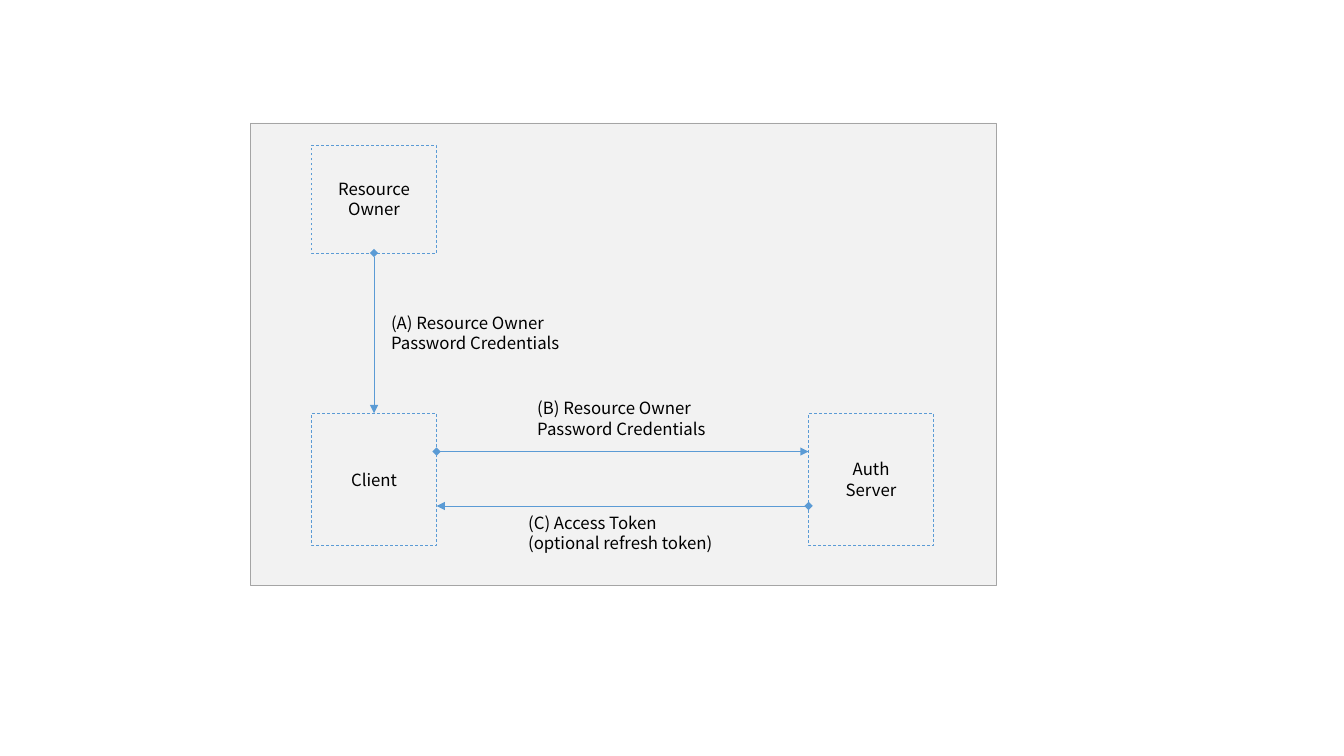
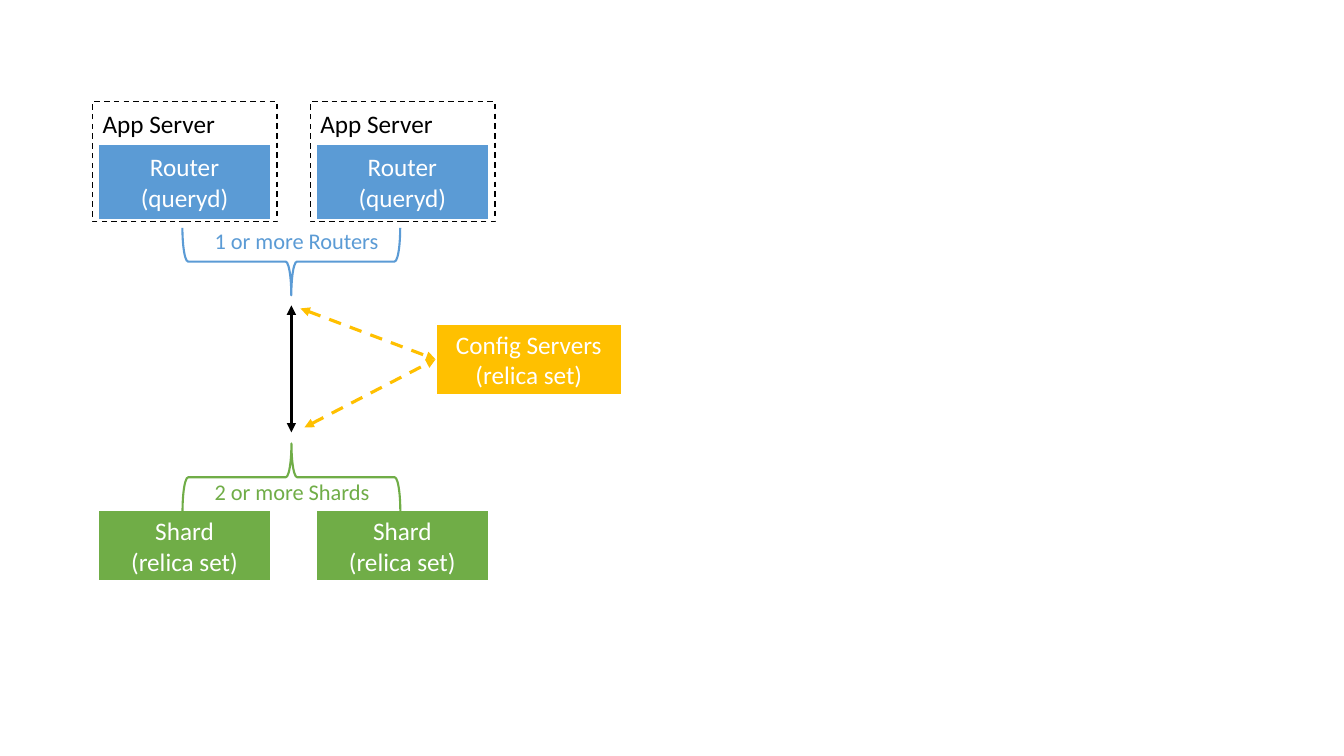
from lxml import etree
from pptx import Presentation
from pptx.dml.color import RGBColor
from pptx.enum import dml, shapes, text
from pptx.oxml import ns
from pptx.util import Inches, Pt

# Shared style
BLUE, GREEN, AMBER = "5B9BD5", "70AD47", "FFC000"
BLACK, WHITE, GREY, PANEL = "000000", "FFFFFF", "A5A5A5", "F2F2F2"
RECT, BRACE = shapes.MSO_SHAPE.RECTANGLE, shapes.MSO_SHAPE.LEFT_BRACE
AUTH_FONT, SHARD_FONT = ("Noto Sans CJK SC", 12), ("Calibri", 18)
NOTE_FONT = ("Calibri", 16)

# Slide 1: password grant flow
PANEL_BOX = (2.48, 1.22, 7.4, 4.59)
BOX_W, LEFT_COL, RIGHT_COL = 1.24, 3.09, 8.02
TOP_ROW, TOP_H, LOW_ROW, LOW_H = 1.44, 1.07, 4.1, 1.31
ROLES = [
    ("Resource\nOwner", LEFT_COL, TOP_ROW, TOP_H),
    ("Client", LEFT_COL, LOW_ROW, LOW_H),
    ("Auth\nServer", RIGHT_COL, LOW_ROW, LOW_H),
]
STEPS = [
    ("(A) Resource Owner\nPassword Credentials", 3.78, 3.05, 1.89),
    ("(B) Resource Owner\nPassword Credentials", 5.23, 3.9, 1.89),
    ("(C) Access Token\n(optional refresh token)", 5.14, 5.04, 2.07),
]
REQUEST_Y, REPLY_Y = 4.48, 5.02

# Slide 2: sharded cluster
COLUMNS, COL_X, PITCH, APP_W = 2, 0.92, 2.16, 1.83
NODE_X, NODE_W, NODE_H = 0.05, 1.72, 0.71
APP, ROUTER, SHARD = "App Server", "Router\n(queryd)", "Shard\n(relica set)"
CONFIG, CONFIG_BOX = "Config Servers\n(relica set)", (4.32, 3.21, 1.85, NODE_H)
APP_Y, APP_H, ROUTER_Y, SHARD_Y = 1.01, 1.19, 1.43, 5.06
AXIS, BRACE_DEPTH = 2.89, 0.67
NOTES = [
    ("1 or more Routers", 2.2, 1.83, BLUE),
    ("2 or more Shards", 4.69, 1.74, GREEN),
]
BRACES = [(2.26, 270, BLUE), (4.4, 90, GREEN)]  # top, turn, colour
LINK_TOP, LINK_END = 3.03, 4.29
CONFIG_LINKS = [(2.98, 3.06), (3.02, 4.24)]


def rgb(value):
    return RGBColor.from_string(value)


def set_line(line, color, width, dash=False):
    line.color.rgb, line.width = rgb(color), Pt(width)
    if dash:
        line.dash_style = dml.MSO_LINE.DASH


def write(sp, words, font, color, align):
    p = sp.text_frame.paragraphs[0]
    p.text, p.alignment = words, align
    p.font.name, p.font.size = font[0], Pt(font[1])
    p.font.color.rgb = rgb(color)


def add_box(parent, box, line, fill=None, words="", font=SHARD_FONT,
            color=WHITE, kind=RECT):
    sp = parent.add_shape(kind, *map(Inches, box))
    sp.shadow.inherit = False
    if fill:
        sp.fill.solid()
        sp.fill.fore_color.rgb = rgb(fill)
    else:
        sp.fill.background()
    set_line(sp.line, *line)
    if words:
        sp.text_frame.vertical_anchor = text.MSO_ANCHOR.MIDDLE
        write(sp, words, font, color, text.PP_ALIGN.CENTER)
    return sp


def add_label(parent, box, words, font, color=BLACK, wrap=False):
    sp = parent.add_textbox(*map(Inches, box))
    sp.text_frame.word_wrap = wrap
    sp.text_frame.auto_size = text.MSO_AUTO_SIZE.SHAPE_TO_FIT_TEXT
    write(sp, words, font, color, text.PP_ALIGN.LEFT)


def add_arrow(parent, start, end, line, head="triangle"):
    cxn = parent.add_connector(shapes.MSO_CONNECTOR.STRAIGHT,
                               *map(Inches, (*start, *end)))
    set_line(cxn.line, *line)
    ln = cxn.line._get_or_add_ln()
    for tag, kind in (("a:headEnd", head), ("a:tailEnd", "triangle")):
        etree.SubElement(ln, ns.qn(tag), type=kind)
    etree.SubElement(cxn._element.spPr, ns.qn("a:effectLst"))


prs = Presentation()
prs.slide_width, prs.slide_height = Inches(13.33), Inches(7.5)
blank = prs.slide_layouts[6]

# Password grant flow: panel, roles, labels, arrows
flow = prs.slides.add_slide(blank).shapes
add_box(flow, PANEL_BOX, (GREY, 0.5), PANEL)
for words, x, y, h in ROLES:
    add_box(flow, (x, y, BOX_W, h), (BLUE, 0.5, True), None, words,
            AUTH_FONT, BLACK)
for words, x, y, w in STEPS:
    add_label(flow, (x, y, w, 0.51), words, AUTH_FONT)
owner_x, client_edge = LEFT_COL + BOX_W / 2, LEFT_COL + BOX_W
for start, end in [
    ((owner_x, TOP_ROW + TOP_H), (owner_x, LOW_ROW)),
    ((client_edge, REQUEST_Y), (RIGHT_COL, REQUEST_Y)),
    ((RIGHT_COL, REPLY_Y), (client_edge, REPLY_Y)),
]:
    add_arrow(flow, start, end, (BLUE, 0.5), "diamond")

# Sharded cluster: one app server and one shard in each column
cluster = prs.slides.add_slide(blank).shapes
edge = (WHITE, 1.5)
for i in range(COLUMNS):
    x = COL_X + i * PITCH
    app = cluster.add_group_shape().shapes
    add_box(app, (x, APP_Y, APP_W, APP_H), (BLACK, 1, True), WHITE)
    add_box(app, (x + NODE_X, ROUTER_Y, NODE_W, 0.75), edge, BLUE, ROUTER)
    add_label(app, (x, APP_Y + 0.02, 1.5, 0.4), APP, SHARD_FONT, wrap=True)
    add_box(cluster, (x + NODE_X, SHARD_Y, NODE_W, NODE_H), edge, GREEN, SHARD)
add_box(cluster, CONFIG_BOX, edge, AMBER, CONFIG)

# Braces joining the columns, with their notes
for words, y, w, color in NOTES:
    add_label(cluster, (2.03, y, w, 0.37), words, NOTE_FONT, color)
for y, turn, color in BRACES:
    box = (AXIS - BRACE_DEPTH / 2, y + (BRACE_DEPTH - PITCH) / 2,
           BRACE_DEPTH, PITCH)
    add_box(cluster, box, (color, 1.5), kind=BRACE).rotation = turn

# Links between routers, shards and config servers
add_arrow(cluster, (AXIS, LINK_TOP), (AXIS, LINK_END), (BLACK, 2.25))
config_side = (CONFIG_BOX[0], CONFIG_BOX[1] + NODE_H / 2)
for start in CONFIG_LINKS:
    add_arrow(cluster, start, config_side, (AMBER, 2.25, True))

prs.save("out.pptx")
